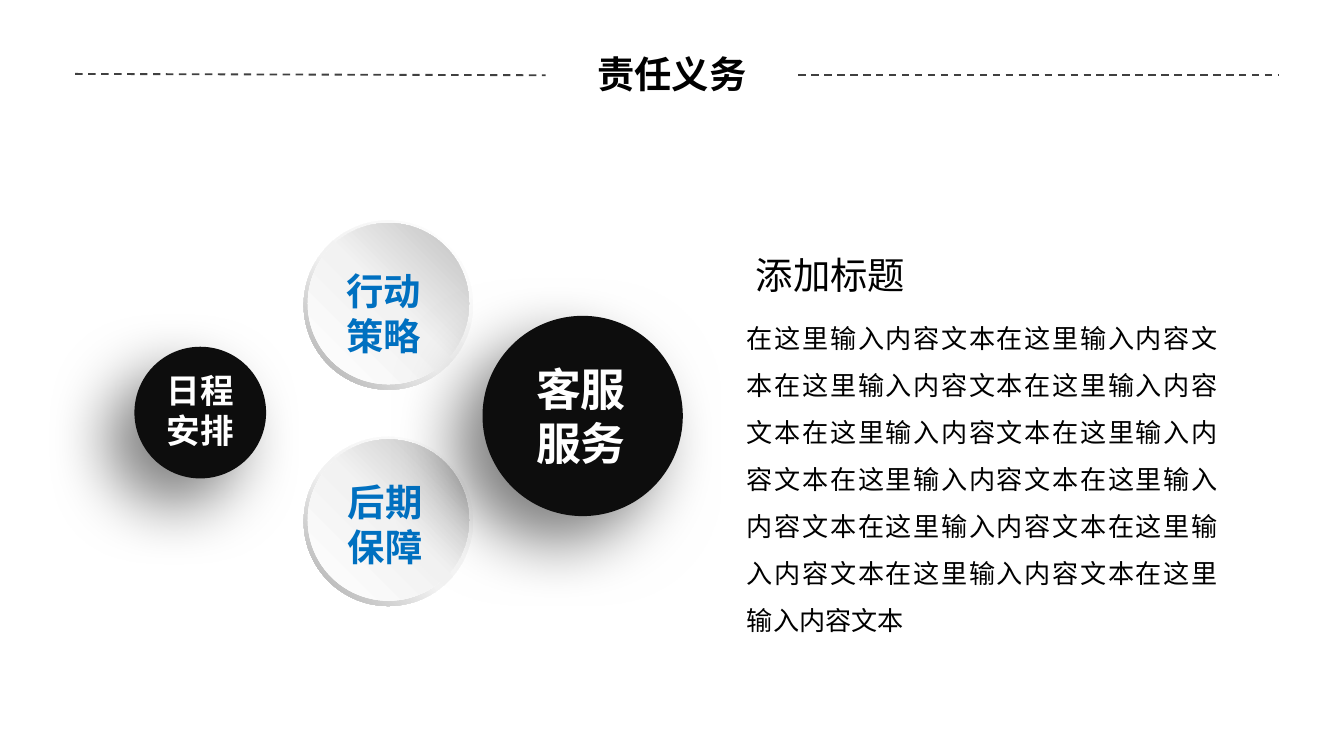
from lxml import etree
from pptx import Presentation
from pptx.dml.color import RGBColor
from pptx.enum.dml import MSO_LINE
from pptx.enum.shapes import MSO_CONNECTOR, MSO_SHAPE
from pptx.enum.text import MSO_ANCHOR, PP_ALIGN
from pptx.oxml.ns import qn
from pptx.util import Inches, Pt

DASH = MSO_LINE.DASH
STRAIGHT = MSO_CONNECTOR.STRAIGHT
OVAL, DONUT = MSO_SHAPE.OVAL, MSO_SHAPE.DONUT
MIDDLE, TOP = MSO_ANCHOR.MIDDLE, MSO_ANCHOR.TOP
LEFT, CENTER, JUSTIFY = PP_ALIGN.LEFT, PP_ALIGN.CENTER, PP_ALIGN.JUSTIFY

FONT = "Noto Sans CJK SC"
BLACK = RGBColor(0x00, 0x00, 0x00)
WHITE = RGBColor(0xFF, 0xFF, 0xFF)
NEAR_BLACK = RGBColor(0x0D, 0x0D, 0x0D)
DARK_GRAY = RGBColor(0x40, 0x40, 0x40)
PALE_GRAY = RGBColor(0xF2, 0xF2, 0xF2)
SILVER = RGBColor(0xBF, 0xBF, 0xBF)
MID_GRAY = RGBColor(0xA6, 0xA6, 0xA6)
BLUE = RGBColor(0x00, 0x70, 0xC0)

RIM_STOPS = [(0, WHITE), (55, PALE_GRAY), (100, MID_GRAY)]
FACE_STOPS = [(0, WHITE), (51, PALE_GRAY), (100, SILVER)]


def add_child(parent, tag, **attributes):
    values = {name: str(value) for name, value in attributes.items()}
    return etree.SubElement(parent, qn(tag), values)


def write_text(frame, text, size, color=BLACK, bold=False, align=LEFT,
               spacing=None, wrap=True, anchor=TOP):
    frame.word_wrap = wrap
    frame.vertical_anchor = anchor
    frame.text = text
    for paragraph in frame.paragraphs:
        paragraph.alignment = align
        paragraph.line_spacing = spacing
        for run in paragraph.runs:
            run.font.name = FONT
            run.font.size = Pt(size)
            run.font.bold = bold
            run.font.color.rgb = color
            add_child(run.font._element, "a:ea", typeface=FONT)


def add_text(shapes, left, top, width, height, text, size, **style):
    box = shapes.add_textbox(Inches(left), Inches(top), Inches(width), Inches(height))
    write_text(box.text_frame, text, size, **style)


def add_rule(slide, start, end):
    rule = slide.shapes.add_connector(STRAIGHT, *map(Inches, start + end))
    rule.line.color.rgb = DARK_GRAY
    rule.line.width = Pt(1)
    rule.line.dash_style = DASH
    add_child(rule._element.spPr, "a:effectLst")


def add_round(group, kind, left, top, size):
    shape = group.shapes.add_shape(kind, Inches(left), Inches(top), Inches(size), Inches(size))
    shape.shadow.inherit = False
    shape.line.fill.background()
    return shape


def fill_gradient(shape, stops, angle):
    shape.fill.gradient()
    gradient = shape._element.spPr.find(qn("a:gradFill"))
    for child in list(gradient):
        gradient.remove(child)
    stop_list = add_child(gradient, "a:gsLst")
    for position, color in stops:
        stop = add_child(stop_list, "a:gs", pos=position * 1000)
        add_child(stop, "a:srgbClr", val=color)
    add_child(gradient, "a:lin", ang=angle * 60000, scaled=0)


def cast_shadow(shape):
    effects = shape._element.spPr.find(qn("a:effectLst"))
    shadow = add_child(effects, "a:outerShdw", blurRad=Pt(35), dist=Pt(20),
                       dir=135 * 60000, algn="tr", rotWithShape=0)
    color = add_child(shadow, "a:srgbClr", val=BLACK)
    add_child(color, "a:alpha", val=50000)


def add_dark_ball(slide, left, top, diameter, label_box, label, size):
    group = slide.shapes.add_group_shape()
    ball = add_round(group, OVAL, left, top, diameter)
    ball.fill.solid()
    ball.fill.fore_color.rgb = NEAR_BLACK
    cast_shadow(ball)
    add_text(group.shapes, *label_box, label, size, color=WHITE, bold=True, wrap=False)


def add_light_button(slide, left, top, label_left, label_top, label):
    group = slide.shapes.add_group_shape()
    rim = add_round(group, DONUT, left, top, 1.26)
    rim.adjustments[0] = 0.05
    fill_gradient(rim, RIM_STOPS, 135)
    face = add_round(group, OVAL, left + 0.03, top + 0.02, 1.2)
    fill_gradient(face, FACE_STOPS, 315)
    add_text(group.shapes, label_left, label_top, 0.77, 0.77, label, 20, color=BLUE, bold=True)


def add_heading(slide, text):
    title = slide.shapes.title
    title.left, title.top = Inches(0.5), Inches(0.41)
    title.width, title.height = Inches(9), Inches(0.28)
    write_text(title.text_frame, text, 20, bold=True, align=CENTER, anchor=MIDDLE)


def main():
    deck = Presentation()
    deck.slide_width = Inches(10)
    deck.slide_height = deck.slide_width * 9 // 16
    slide = deck.slides.add_slide(deck.slide_layouts[5])

    add_rule(slide, (0.56, 0.55), (4.06, 0.56))
    add_rule(slide, (5.94, 0.56), (9.52, 0.56))
    add_heading(slide, "责任义务")

    add_text(slide.shapes, 5.52, 1.83, 1.32, 0.44, "添加标题", 20, align=CENTER, wrap=False)
    add_text(slide.shapes, 5.46, 2.23, 3.7, 2.22, "在这里输入内容文本" * 12, 14,
             align=JUSTIFY, spacing=1.5)

    add_dark_ball(slide, 1, 2.58, 0.98, (1.14, 2.7, 0.71, 0.71), "日程\n安排", 18)
    add_light_button(slide, 2.26, 1.64, 2.48, 1.95, "行动\n策略")
    add_light_button(slide, 2.26, 3.25, 2.49, 3.52, "后期\n保障")
    add_dark_ball(slide, 3.59, 2.35, 1.49, (3.89, 2.64, 0.88, 0.91), "客服\n服务", 24)

    deck.save("out.pptx")


if __name__ == "__main__":
    main()
